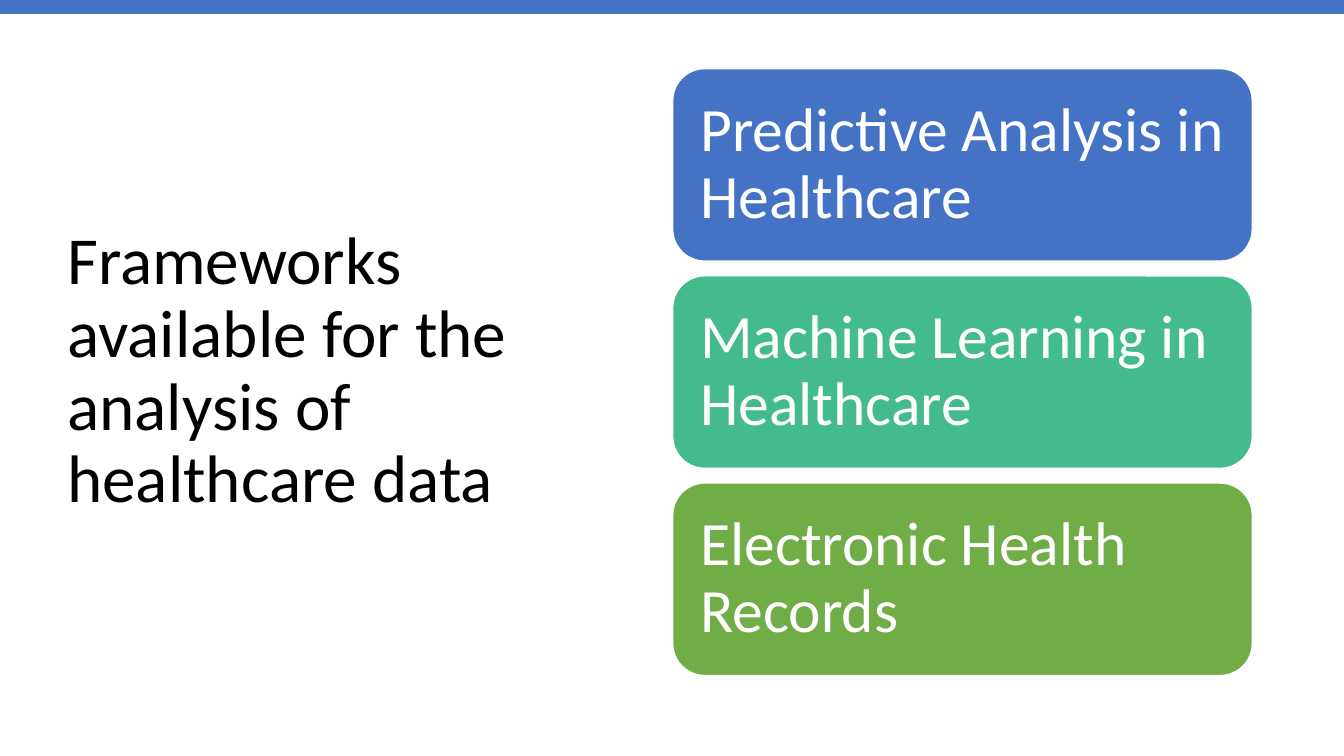
from pptx import Presentation
from pptx.dml.color import RGBColor
from pptx.enum.shapes import MSO_SHAPE as Shape
from pptx.enum.text import MSO_ANCHOR as Anchor, PP_ALIGN as Align
from pptx.util import Pt


def add_box(kind, left, top, width, height, color):
    box = slide.shapes.add_shape(kind, Pt(left), Pt(top), Pt(width), Pt(height))
    box.shadow.inherit = False
    box.fill.solid()
    box.fill.fore_color.rgb = RGBColor.from_string(color)
    box.line.fill.background()
    return box


def set_text(frame, text, size, color):
    frame.word_wrap = True
    frame.vertical_anchor = Anchor.MIDDLE
    frame.text = text
    para = frame.paragraphs[0]
    para.alignment = Align.LEFT
    para.line_spacing = 0.9
    font = para.runs[0].font
    font.name = "Calibri"
    font.size = Pt(size)
    font.color.rgb = RGBColor.from_string(color)


deck = Presentation()
deck.slide_width, deck.slide_height = Pt(960), Pt(540)
slide = deck.slides.add_slide(deck.slide_layouts[6])

title = slide.shapes.add_textbox(Pt(41), Pt(49), Pt(408), Pt(433.5))
set_text(title.text_frame,
         "Frameworks available for the analysis of healthcare data", 48, "000000")

add_box(Shape.RECTANGLE, 0, 0, 960, 10, "4472C4")

cards = [
    ("Predictive Analysis in Healthcare", "4472C4"),
    ("Machine Learning in Healthcare", "43BB8D"),
    ("Electronic Health Records", "70AD47"),
]
for row, (label, color) in enumerate(cards):
    card = add_box(Shape.ROUNDED_RECTANGLE, 480.5, 49 + row * 148, 414, 137.5, color)
    card.line.color.rgb = RGBColor.from_string("FFFFFF")
    card.line.width = Pt(1)
    frame = card.text_frame
    frame.margin_left = frame.margin_right = Pt(13)
    set_text(frame, label, 44, "FFFFFF")

deck.save("out.pptx")
